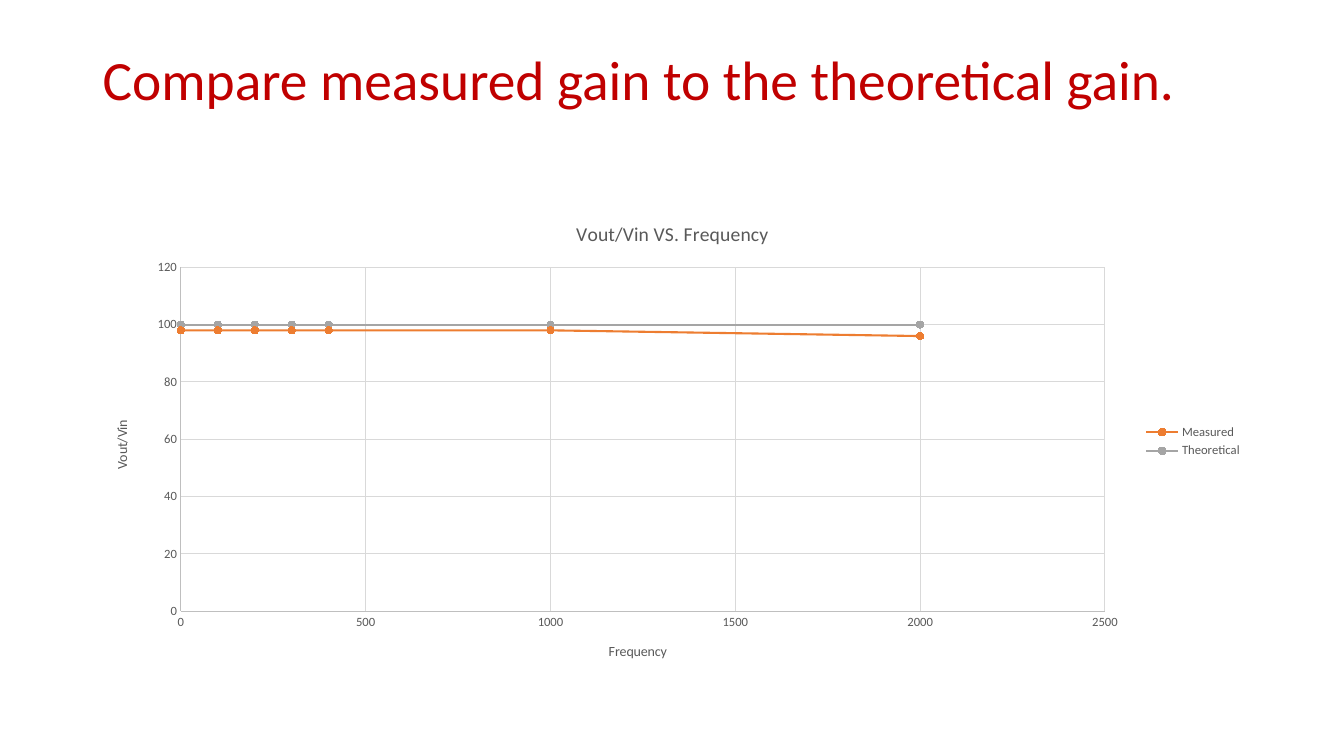
from lxml import etree
from pptx import Presentation
from pptx.chart.data import XyChartData
from pptx.dml.color import RGBColor
from pptx.enum.chart import XL_CHART_TYPE as ChartType, XL_LEGEND_POSITION as LegendPosition
from pptx.enum.chart import XL_MARKER_STYLE as MarkerStyle, XL_TICK_MARK as TickMark
from pptx.enum.text import MSO_ANCHOR as Anchor
from pptx.oxml.ns import qn
from pptx.util import Inches, Pt

RED = RGBColor(0xC0, 0x00, 0x00)
ORANGE = RGBColor(0xED, 0x7D, 0x31)
GRAY = RGBColor(0xA5, 0xA5, 0xA5)
TEXT_GRAY = RGBColor(0x59, 0x59, 0x59)
AXIS_GRAY = RGBColor(0xBF, 0xBF, 0xBF)
GRID_GRAY = RGBColor(0xD9, 0xD9, 0xD9)
FONT = "Calibri"

FREQUENCIES = [0, 100, 200, 300, 400, 1000, 2000]
GAINS = [
    ("Measured", [98, 98, 98, 98, 98, 98, 96], ORANGE),
    ("Theoretical", [100] * len(FREQUENCIES), GRAY),
]


def set_font(font, size, color):
    font.name = FONT
    font.size = Pt(size)
    font.bold = False
    font.color.rgb = color


def set_title(owner, text, size):
    owner.has_title = True
    frame = (owner.chart_title if hasattr(owner, "chart_title") else owner.axis_title).text_frame
    frame.text = text
    set_font(frame.paragraphs[0].font, size, TEXT_GRAY)


presentation = Presentation()
presentation.slide_width = Inches(13.33)
presentation.slide_height = Inches(7.5)
slide = presentation.slides.add_slide(presentation.slide_layouts[6])

# Slide title
title_box = slide.shapes.add_textbox(Inches(0.92), Inches(0.4), Inches(11.5), Inches(1.45))
title_frame = title_box.text_frame
title_frame.word_wrap = True
title_frame.vertical_anchor = Anchor.TOP
title_frame.margin_top = Inches(0.12)
title_frame.text = "Compare measured gain to the theoretical gain."
title_paragraph = title_frame.paragraphs[0]
title_paragraph.line_spacing = 0.9
set_font(title_paragraph.font, 39.6, RED)

# Gain chart
chart_data = XyChartData()
for name, gains, _ in GAINS:
    series_data = chart_data.add_series(name)
    for frequency, gain in zip(FREQUENCIES, gains):
        series_data.add_data_point(frequency, gain)
chart = slide.shapes.add_chart(
    ChartType.XY_SCATTER_LINES, Inches(0.92), Inches(2), Inches(11.5), Inches(4.76), chart_data
).chart
set_font(chart.font, 10, TEXT_GRAY)
set_title(chart, "Vout/Vin VS. Frequency", 14)

# Series lines and markers
for series, (_, _, color) in zip(chart.plots[0].series, GAINS):
    series.smooth = False
    series.format.line.color.rgb = color
    series.format.line.width = Pt(1.5)
    series.marker.style = MarkerStyle.CIRCLE
    series.marker.size = 5
    series.marker.format.fill.solid()
    series.marker.format.fill.fore_color.rgb = color
    series.marker.format.line.color.rgb = color

# Axes
for axis, name, maximum, step in [
    (chart.category_axis, "Frequency", 2500, 500),
    (chart.value_axis, "Vout/Vin", 120, 20),
]:
    set_title(axis, name, 10)
    axis.minimum_scale = 0
    axis.maximum_scale = maximum
    axis.major_unit = step
    axis.major_tick_mark = axis.minor_tick_mark = TickMark.NONE
    set_font(axis.tick_labels.font, 9, TEXT_GRAY)
    axis.has_major_gridlines = True
    for line, color in [(axis.format.line, AXIS_GRAY), (axis.major_gridlines.format.line, GRID_GRAY)]:
        line.color.rgb = color
        line.width = Pt(0.75)

# Legend
chart.has_legend = True
chart.legend.position = LegendPosition.RIGHT
chart.legend.include_in_layout = False
set_font(chart.legend.font, 9, TEXT_GRAY)

# Plot area placement, as fractions of the chart
plot_area = chart.plots[0]._element.getparent()
for old_layout in plot_area.findall(qn("c:layout")):
    plot_area.remove(old_layout)
layout = etree.Element(qn("c:layout"))
plot_area.insert(0, layout)
manual_layout = etree.SubElement(layout, qn("c:manualLayout"))
for tag, value in [
    ("layoutTarget", "inner"), ("xMode", "edge"), ("yMode", "edge"),
    ("x", 0.076), ("y", 0.137), ("w", 0.797), ("h", 0.717),
]:
    etree.SubElement(manual_layout, qn(f"c:{tag}")).set("val", str(value))

presentation.save("out.pptx")
